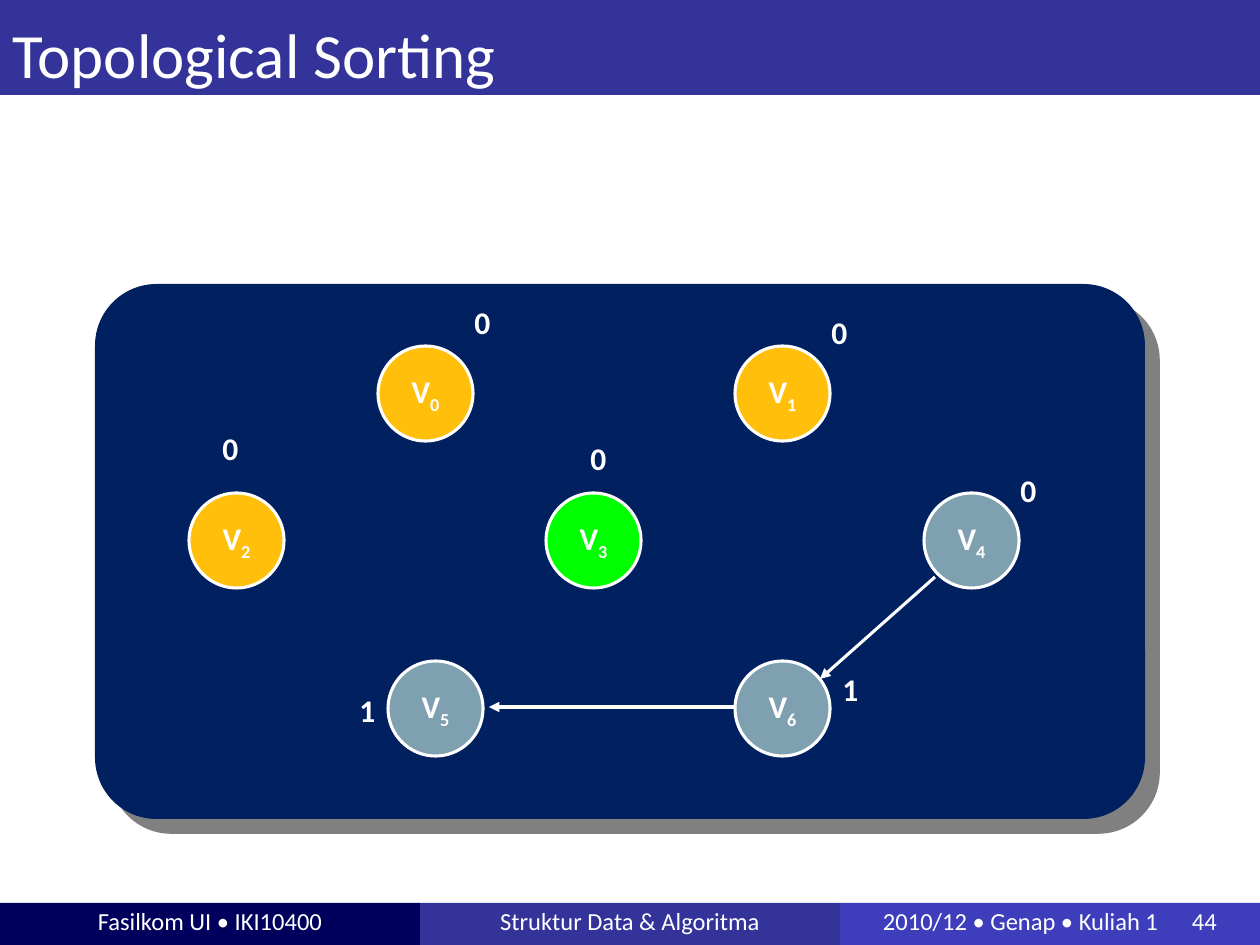
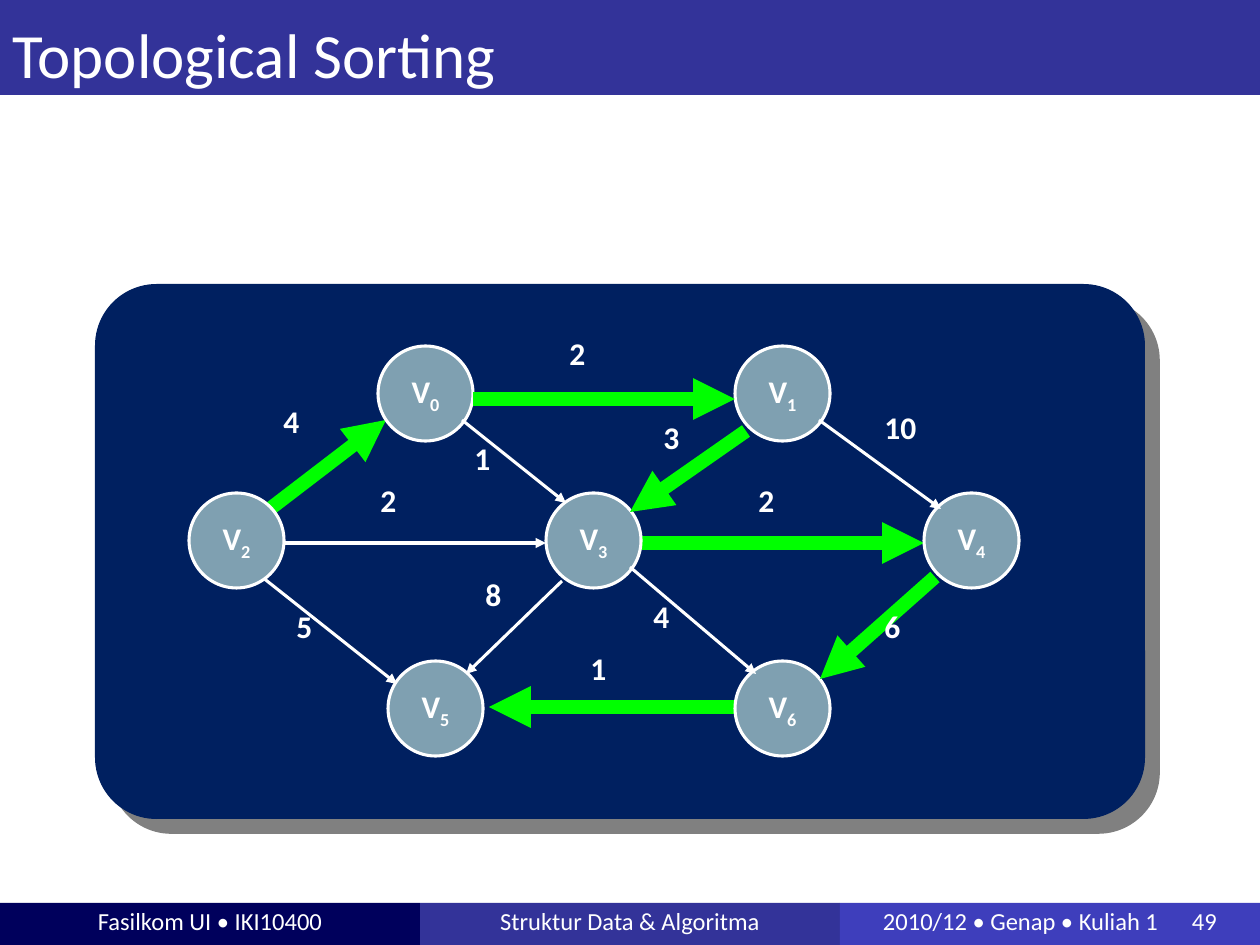
from lxml.etree import SubElement
from pptx import Presentation
from pptx.dml.color import RGBColor
from pptx.enum.shapes import MSO_CONNECTOR, MSO_SHAPE
from pptx.enum.text import MSO_ANCHOR, MSO_AUTO_SIZE, PP_ALIGN
from pptx.oxml.ns import qn
from pptx.util import Emu, Pt

WHITE = RGBColor(0xFF, 0xFF, 0xFF)
INDIGO = RGBColor(0x33, 0x33, 0x99)
DARK_INDIGO = RGBColor(0x00, 0x00, 0x5C)
LIGHT_INDIGO = RGBColor(0x3E, 0x3E, 0xBC)
NAVY = RGBColor(0x00, 0x20, 0x60)
SHADOW_GREY = RGBColor(0x80, 0x80, 0x80)
STEEL = RGBColor(0x7F, 0xA0, 0xB1)
AMBER = RGBColor(0xFF, 0xBF, 0x0B)
GREEN = RGBColor(0x00, 0xFF, 0x00)

FONT = "Calibri"
SLIDE_WIDTH, SLIDE_HEIGHT = 1260, 945
FOOTER_TOP = 903
NODE_SIZE = 95
THIN, THICK = 1.75, 8

NODE_POSITIONS = [
    (378, 346), (735, 346), (189, 493), (546, 493),
    (924, 493), (388, 661), (735, 661),
]

V4_TO_V6 = ((935, 577), (820, 679))
V6_TO_V5 = ((751, 707), (489, 707))

INDEGREE_LABELS = [
    ("0", 210, 431), ("0", 462, 305), ("0", 819, 315), ("0", 1008, 473),
    ("1", 830, 672), ("0", 578, 441), ("1", 347, 693),
]

WEIGHT_LABELS = [
    ("4", 271, 404), ("2", 557, 336), ("2", 746, 483), ("2", 368, 483),
    ("1", 462, 441), ("1", 578, 651), ("5", 284, 609), ("6", 872, 609),
    ("10", 872, 410), ("4", 641, 599), ("8", 473, 577), ("3", 651, 420),
]

GRAPHS = [
    {
        "number": 44,
        "node_colors": [AMBER, AMBER, AMBER, GREEN, STEEL, STEEL, STEEL],
        "edges_below": [(V6_TO_V5, WHITE, THIN)],
        "edges_above": [(V4_TO_V6, WHITE, THIN)],
        "labels": INDEGREE_LABELS,
    },
    {
        "number": 49,
        "node_colors": [STEEL] * len(NODE_POSITIONS),
        "edges_below": [
            (((262, 515), (386, 420)), GREEN, THICK),
            (((262, 577), (397, 684)), WHITE, THIN),
            (((635, 543), (924, 543)), GREEN, THICK),
            (((284, 543), (546, 543)), WHITE, THIN),
            (V6_TO_V5, GREEN, THICK),
        ],
        "edges_above": [
            (((473, 399), (735, 399)), GREEN, THICK),
            (V4_TO_V6, GREEN, THICK),
            (((819, 420), (941, 509)), WHITE, THIN),
            (((462, 420), (566, 503)), WHITE, THIN),
            (((630, 567), (756, 674)), WHITE, THIN),
            (((746, 431), (630, 512)), GREEN, THICK),
            (((562, 581), (466, 674)), WHITE, THIN),
        ],
        "labels": WEIGHT_LABELS,
    },
]


def px(length):
    """Convert a length in px to EMU."""
    return Emu(round(length * 914400 / 126))


class GraphDeck:
    """Hold the shared style and draw elements on the current slide."""

    def __init__(self):
        """Start an empty presentation."""
        self.presentation = Presentation()
        self.presentation.slide_width = px(SLIDE_WIDTH)
        self.presentation.slide_height = px(SLIDE_HEIGHT)
        self.slide = None

    def start_slide(self, title, number):
        """Add a slide with its title band and footer."""
        self.slide = self.presentation.slides.add_slide(self.presentation.slide_layouts[5])
        shape = self.slide.shapes.title
        shape.left, shape.top = px(0), px(0)
        shape.width, shape.height = px(SLIDE_WIDTH), px(95)
        shape.fill.solid()
        shape.fill.fore_color.rgb = INDIGO
        text_frame = shape.text_frame
        text_frame.text = title
        text_frame.auto_size = MSO_AUTO_SIZE.NONE
        text_frame.vertical_anchor = MSO_ANCHOR.MIDDLE
        text_frame.margin_bottom = 0
        self.format_text(text_frame, 36, PP_ALIGN.LEFT, spacing=1.08)
        self.footer(number)

    def format_text(self, text_frame, size, alignment, bold=False, spacing=None):
        """Give the first paragraph the shared font and colour."""
        paragraph = text_frame.paragraphs[0]
        paragraph.alignment = alignment
        paragraph.line_spacing = spacing
        for run in paragraph.runs:
            run.font.name = FONT
            run.font.size = Pt(size)
            run.font.bold = bold
            run.font.color.rgb = WHITE

    def block(self, preset, left, top, width, height, color):
        """Add a filled preset shape without line or shadow."""
        shape = self.slide.shapes.add_shape(preset, px(left), px(top), px(width), px(height))
        shape.shadow.inherit = False
        shape.fill.solid()
        shape.fill.fore_color.rgb = color
        shape.line.fill.background()
        return shape

    def footer(self, number):
        """Add three equal footer bands."""
        bands = [
            ("Fasilkom UI • IKI10400", DARK_INDIGO),
            ("Struktur Data & Algoritma", INDIGO),
            (f"2010/12 • Genap • Kuliah 1\t{number}", LIGHT_INDIGO),
        ]
        width = SLIDE_WIDTH // len(bands)
        for index, (text, color) in enumerate(bands):
            shape = self.block(MSO_SHAPE.RECTANGLE, index * width, FOOTER_TOP,
                               width, SLIDE_HEIGHT - FOOTER_TOP, color)
            text_frame = shape.text_frame
            text_frame.text = text
            text_frame.vertical_anchor = MSO_ANCHOR.MIDDLE
            text_frame.margin_top = 0
            self.format_text(text_frame, 14, PP_ALIGN.CENTER)
        self.align_number(text_frame)

    def align_number(self, text_frame):
        """Set the slide number apart with a tab stop."""
        text_frame.margin_left = px(43)
        paragraph = text_frame.paragraphs[0]
        paragraph.alignment = PP_ALIGN.LEFT
        tabs = SubElement(paragraph._p.get_or_add_pPr(), qn("a:tabLst"))
        SubElement(tabs, qn("a:tab"), pos=str(px(309)), algn="l")

    def panel(self):
        """Add the rounded panel with its hard shadow."""
        shape = self.block(MSO_SHAPE.ROUNDED_RECTANGLE, 95, 284, 1050, 535, NAVY)
        shape.adjustments[0] = 0.115
        effects = shape.element.spPr.find(qn("a:effectLst"))
        shadow = SubElement(effects, qn("a:outerShdw"), blurRad="0", dist=str(Pt(12)),
                            dir=str(45 * 60000), algn="ctr", rotWithShape="0")
        SubElement(shadow, qn("a:srgbClr"), val=str(SHADOW_GREY))

    def node(self, index, left, top, color):
        """Add a vertex circle with a subscript index."""
        shape = self.block(MSO_SHAPE.OVAL, left, top, NODE_SIZE, NODE_SIZE, color)
        shape.line.color.rgb = WHITE
        shape.line.width = Pt(THIN)
        text_frame = shape.text_frame
        text_frame.word_wrap = False
        text_frame.vertical_anchor = MSO_ANCHOR.MIDDLE
        text_frame.text = "V"
        subscript = text_frame.paragraphs[0].add_run()
        subscript.text = str(index)
        self.format_text(text_frame, 18, PP_ALIGN.CENTER, bold=True, spacing=0.76)
        subscript._r.get_or_add_rPr().set("baseline", "-25000")

    def edge(self, ends, color, width):
        """Add an arrow from the first end to the second."""
        (start_x, start_y), (end_x, end_y) = ends
        connector = self.slide.shapes.add_connector(
            MSO_CONNECTOR.STRAIGHT, px(start_x), px(start_y), px(end_x), px(end_y))
        connector.line.color.rgb = color
        connector.line.width = Pt(width)
        properties = connector.element.spPr
        SubElement(properties.find(qn("a:ln")), qn("a:tailEnd"), type="triangle")
        SubElement(properties, qn("a:effectLst"))

    def label(self, text, left, top):
        """Add a number beside a vertex or an edge."""
        width = 24 + 24 * len(text)
        shape = self.slide.shapes.add_textbox(px(left), px(top), px(width), px(52))
        text_frame = shape.text_frame
        text_frame.text = text
        text_frame.word_wrap = False
        text_frame.auto_size = MSO_AUTO_SIZE.SHAPE_TO_FIT_TEXT
        self.format_text(text_frame, 18, PP_ALIGN.LEFT, bold=True, spacing=0.76)

    def graph(self, node_colors, edges_below, edges_above, labels):
        """Draw the panel, edges, vertices and labels."""
        self.panel()
        for edge in edges_below:
            self.edge(*edge)
        for index, (position, color) in enumerate(zip(NODE_POSITIONS, node_colors)):
            self.node(index, *position, color)
        for edge in edges_above:
            self.edge(*edge)
        for label in labels:
            self.label(*label)


def main():
    """Build the slides and save the file."""
    deck = GraphDeck()
    for graph in GRAPHS:
        deck.start_slide("Topological Sorting", graph["number"])
        deck.graph(graph["node_colors"], graph["edges_below"],
                   graph["edges_above"], graph["labels"])
    deck.presentation.save("out.pptx")


if __name__ == "__main__":
    main()
